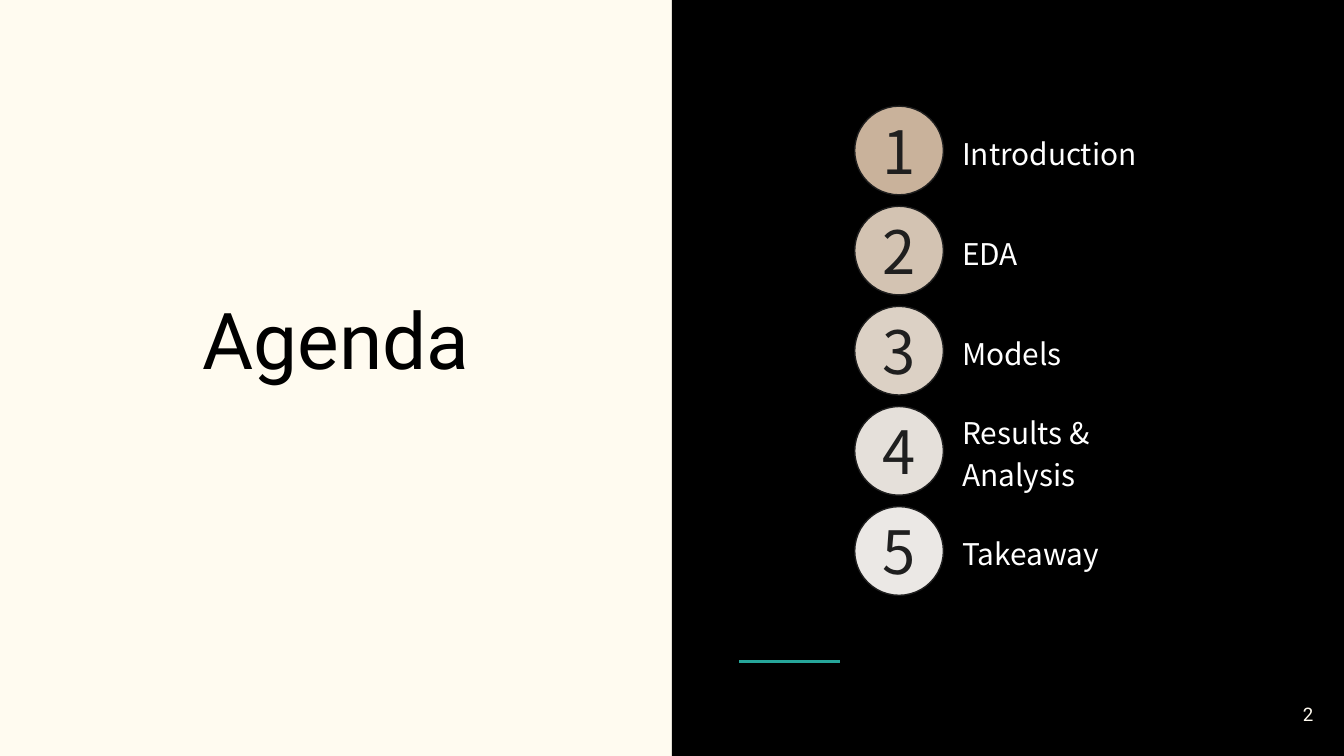
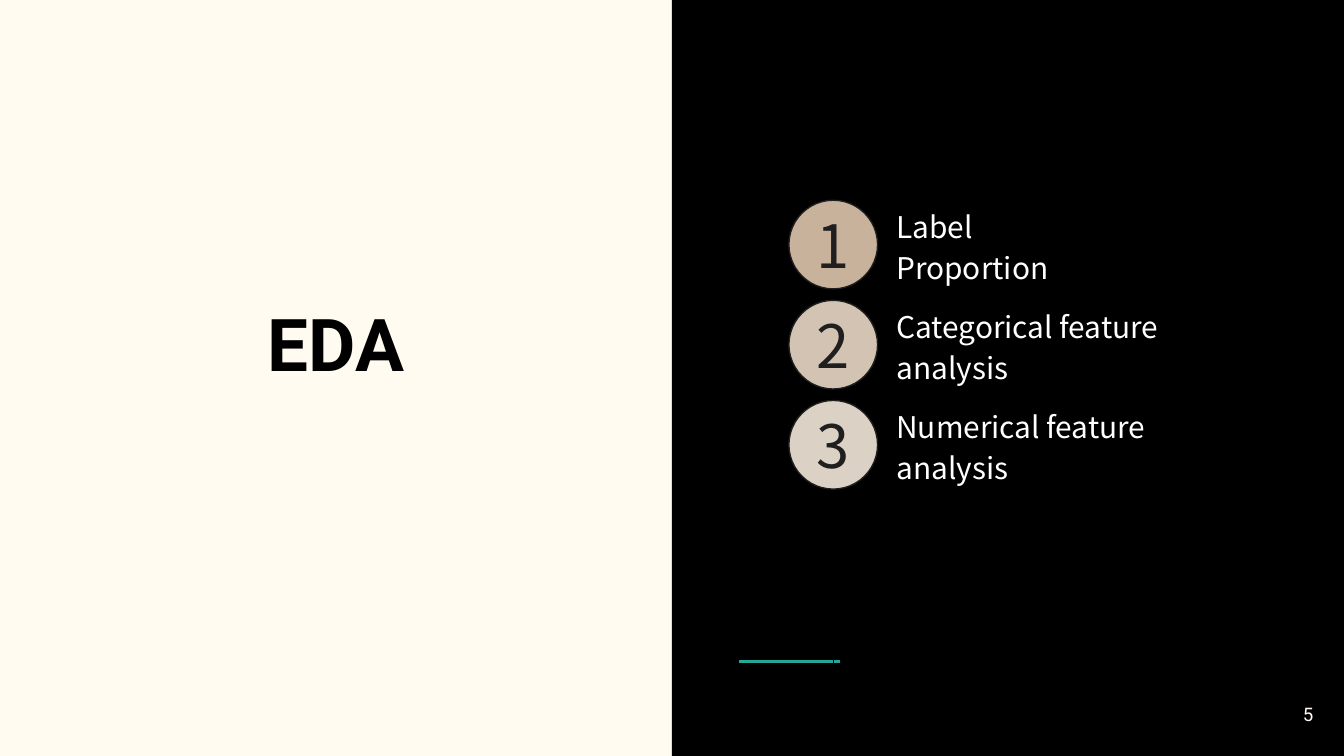
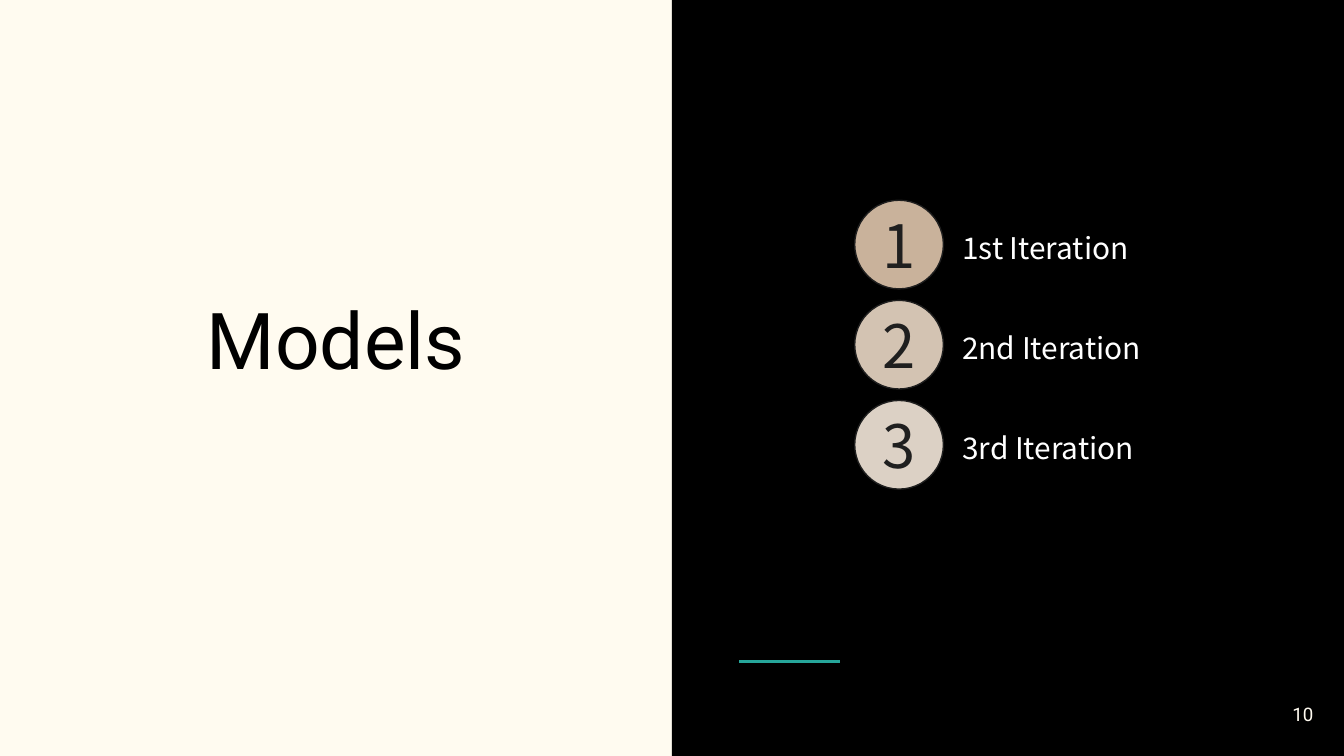
"""Build three agenda slides with numbered topics on a split background."""
from lxml import etree
from pptx import Presentation
from pptx.dml.color import RGBColor
from pptx.enum.shapes import MSO_CONNECTOR as Connector, MSO_SHAPE as Preset
from pptx.enum.text import MSO_ANCHOR as Anchor, MSO_AUTO_SIZE as AutoSize, PP_ALIGN as Align
from pptx.oxml.ns import qn
from pptx.util import Inches, Pt

WIDTH = 10
HEIGHT = WIDTH * 9 / 16
COLORS = {
    "cream": "FFFBF0",
    "black": "000000",
    "teal": "26A69A",
    "white": "FFFFFF",
    "ink": "1F1F1F",
}
CIRCLE_FILLS = ["C9B29B", "D3C3B2", "DCD1C5", "E5E0DA", "EBE8E5"]
TITLE_FONT, LIST_FONT = "Roboto", "Noto Sans CJK JP"
CIRCLE_SIZE = 0.66
PITCH = 1.49 / 2
LABEL_OFFSET = 0.8
LABEL_WIDTH = 1.48

SLIDES = [
    {
        "title": "Agenda", "title_size": 42, "bold": False, "number": "2",
        "left": 6.36, "top": 0.79, "spine": (1.37, 5.34),
        "topics": [
            ("Introduction", LABEL_WIDTH),
            ("EDA", LABEL_WIDTH),
            ("Models", LABEL_WIDTH),
            ("Results & Analysis", LABEL_WIDTH),
            ("Takeaway", LABEL_WIDTH),
        ],
    },
    {
        "title": "EDA", "title_size": 39, "bold": True, "number": "5",
        "left": 5.87, "top": 1.49, "spine": (2.07, HEIGHT),
        "topics": [
            ("Label Proportion", 1.69),
            ("Categorical feature analysis", 2.41),
            ("Numerical feature analysis", 2.41),
        ],
    },
    {
        "title": "Models", "title_size": 42, "bold": False, "number": "10",
        "left": 6.36, "top": 1.49, "spine": (2.07, HEIGHT),
        "topics": [
            ("1st Iteration", LABEL_WIDTH),
            ("2nd Iteration", LABEL_WIDTH),
            ("3rd Iteration", LABEL_WIDTH),
        ],
    },
]


def rgb(value):
    return RGBColor.from_string(COLORS.get(value, value))


def inches(*values):
    return [Inches(value) for value in values]


def add_preset(shapes, preset, box, fill):
    shape = shapes.add_shape(preset, *inches(*box))
    shape.shadow.inherit = False
    shape.fill.solid()
    shape.fill.fore_color.rgb = rgb(fill)
    return shape


def add_line(shapes, start, end, color, width):
    line = shapes.add_connector(Connector.STRAIGHT, *inches(*start, *end))
    line.line.color.rgb = rgb(color)
    line.line.width = Pt(width)
    etree.SubElement(line.element.spPr, qn("a:effectLst"))
    return line


def write(shape, text, size, font, color, align, anchor=Anchor.MIDDLE,
          inset=0.1, spacing=1.0, bold=False):
    frame = shape.text_frame
    frame.word_wrap = True
    frame.auto_size = AutoSize.NONE
    frame.vertical_anchor = anchor
    frame.margin_left = frame.margin_right = Inches(inset)
    frame.margin_top = frame.margin_bottom = Inches(inset)
    paragraph = frame.paragraphs[0]
    paragraph.alignment = align
    paragraph.line_spacing = spacing
    run = paragraph.add_run()
    run.text = text
    run.font.size = Pt(size)
    run.font.name = font
    run.font.bold = bold
    run.font.color.rgb = rgb(color)
    for tag in ("a:ea", "a:cs"):
        etree.SubElement(run.font._element, qn(tag), typeface=font)


def decorate_layout(layout, slide):
    background = layout.background.fill
    background.solid()
    background.fore_color.rgb = rgb("cream")
    half = WIDTH / 2
    panel = add_preset(slide.shapes, Preset.RECTANGLE, (half, 0, half, HEIGHT), "black")
    panel.line.fill.background()
    accent = add_line(slide.shapes, (5.5, 4.92), (6.25, 4.92), "teal", 1.5)
    for shape in (panel, accent):
        layout.shapes.element.append(shape.element)


def add_topics(slide, content):
    left, top = content["left"], content["top"]
    shapes = slide.shapes.add_group_shape().shapes
    spine_x = left + CIRCLE_SIZE / 2
    spine_top, spine_bottom = content["spine"]
    add_line(shapes, (spine_x, spine_top), (spine_x, spine_bottom), "black", 0.75)
    for index, (topic, width) in enumerate(content["topics"]):
        y = top + index * PITCH
        label = shapes.add_textbox(*inches(left + LABEL_OFFSET, y, width, CIRCLE_SIZE))
        write(label, topic, 16, LIST_FONT, "white", Align.LEFT, inset=0, spacing=1.15)
        circle = add_preset(shapes, Preset.OVAL, (left, y, CIRCLE_SIZE, CIRCLE_SIZE),
                            CIRCLE_FILLS[index])
        circle.line.color.rgb = rgb("ink")
        circle.line.width = Pt(0.75)
        write(circle, str(index + 1), 32, LIST_FONT, "ink", Align.CENTER)


def add_title(slide, content):
    title = slide.shapes.title
    title.left, title.top, title.width, title.height = inches(0.29, 1.51, 4.42, 1.46)
    write(title, content["title"], content["title_size"], TITLE_FONT, "black",
          Align.CENTER, anchor=Anchor.BOTTOM, bold=content["bold"])


def add_page_number(slide, number):
    box = slide.shapes.add_textbox(*inches(9.27, 5.1, 0.6, 0.43))
    write(box, number, 10, TITLE_FONT, "cream", Align.RIGHT)


def main():
    presentation = Presentation()
    presentation.slide_width, presentation.slide_height = inches(WIDTH, HEIGHT)
    layout = presentation.slide_layouts[5]
    for index, content in enumerate(SLIDES):
        slide = presentation.slides.add_slide(layout)
        if index == 0:
            decorate_layout(layout, slide)
        add_title(slide, content)
        add_topics(slide, content)
        add_page_number(slide, content["number"])
    presentation.save("out.pptx")


if __name__ == "__main__":
    main()
